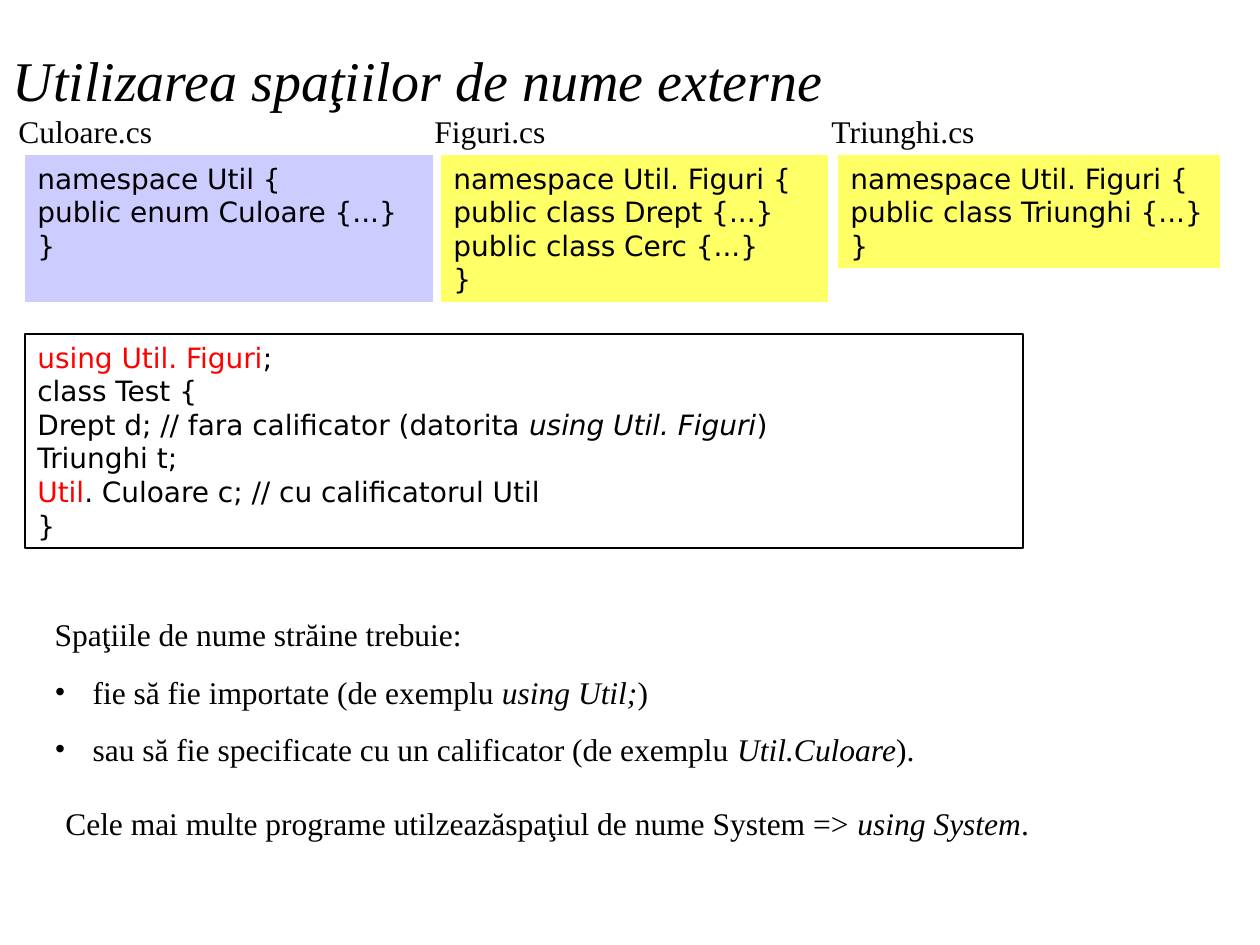
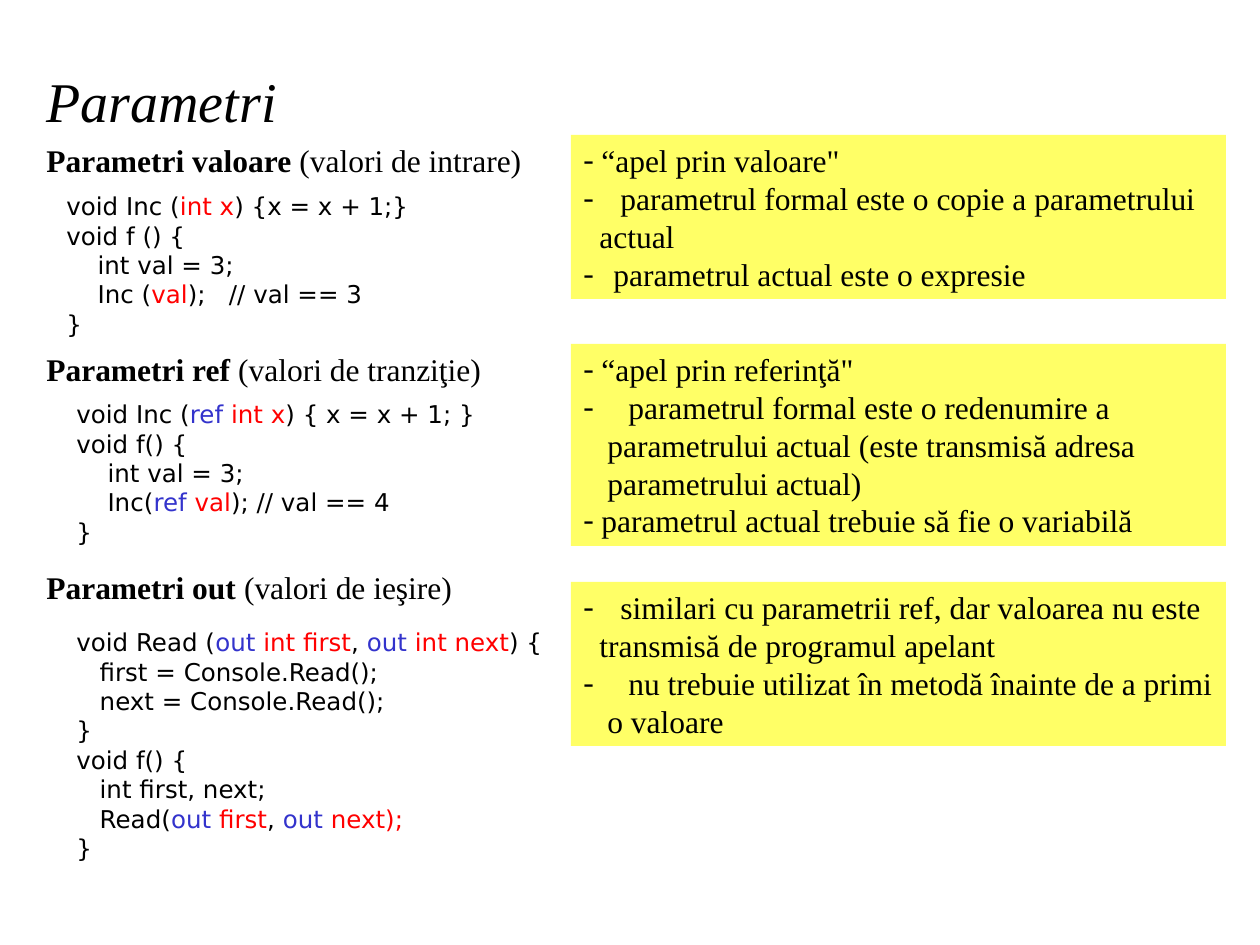
from dataclasses import dataclass

from pptx import Presentation
from pptx.dml.color import RGBColor
from pptx.enum.shapes import MSO_SHAPE
from pptx.enum.text import MSO_ANCHOR, MSO_AUTO_SIZE, PP_ALIGN
from pptx.oxml.ns import qn
from pptx.util import Pt
from lxml import etree

RECT = MSO_SHAPE.RECTANGLE
TOP, MIDDLE = MSO_ANCHOR.TOP, MSO_ANCHOR.MIDDLE
LEFT = PP_ALIGN.LEFT
NO_FIT = MSO_AUTO_SIZE.NONE

PX = 914400 / 126
SERIF, SANS = "Times New Roman", "DejaVu Sans"
COLORS = {
    "black": "000000",
    "white": "FFFFFF",
    "red": "FF0000",
    "blue": "3333CC",
    "lilac": "CCCCFF",
    "yellow": "FFFF66",
}


@dataclass
class Para:
    runs: object
    bullet: str = ""
    margin: int = 0


def px(n):
    return round(n * PX)


def rgb(name):
    return RGBColor.from_string(COLORS[name])


def set_bullet(p, bullet, margin):
    pPr = p._p.get_or_add_pPr()
    pPr.set("marL", str(px(margin)))
    pPr.set("indent", str(-px(margin) if bullet else 0))
    if bullet:
        etree.SubElement(pPr, qn("a:buFont")).set("typeface", SERIF)
        etree.SubElement(pPr, qn("a:buChar")).set("char", bullet)
    else:
        etree.SubElement(pPr, qn("a:buNone"))


def add_run(p, text, style, font, size):
    r = p.add_run()
    r.text = text
    r.font.name, r.font.size = font, Pt(size)
    r.font.bold = style == "bold"
    r.font.italic = style == "italic"
    r.font.color.rgb = rgb(style if style in COLORS else "black")


def write(tf, paras, font, size, gap=0, anchor=TOP, wrap=True):
    tf.word_wrap = wrap
    tf.auto_size = NO_FIT
    tf.vertical_anchor = anchor
    for i, para in enumerate(paras):
        if not isinstance(para, Para):
            para = Para(para)
        p = tf.paragraphs[0] if i == 0 else tf.add_paragraph()
        set_bullet(p, para.bullet, para.margin)
        p.alignment = LEFT
        p.space_before = Pt(gap if i else 0)
        runs = [(para.runs, "")] if isinstance(para.runs, str) else para.runs
        for text, style in runs:
            add_run(p, text, style, font, size)


def place(sp, box):
    sp.left, sp.top, sp.width, sp.height = map(px, box)


def add_title(s, box, text):
    sp = s.shapes.title
    place(sp, box)
    write(sp.text_frame, [[(text, "italic")]], SERIF, 32, anchor=MIDDLE)


def add_text(s, box, paras, font, size, wrap=True):
    tf = s.shapes.add_textbox(*map(px, box)).text_frame
    write(tf, paras, font, size, wrap=wrap)
    return tf


def add_panel(s, box, fill, paras, font, size, line=None):
    sp = s.shapes.add_shape(RECT, *map(px, box))
    sp.shadow.inherit = False
    sp.fill.solid()
    sp.fill.fore_color.rgb = rgb(fill)
    if line:
        sp.line.color.rgb = rgb(line)
        sp.line.width = Pt(0.75)
    else:
        sp.line.fill.background()
    write(sp.text_frame, paras, font, size)


def add_source_file(s, box, name, fill, code):
    x, y, w, h = box
    label_x = max(x - 19, 0)
    add_text(s, (label_x, y, 230, 50), [name], SERIF, 18, wrap=False)
    add_panel(s, (x, y + 49, w, h - 49), fill, code, SANS, 16)


def add_parameter_kind(s, box, kind, values, code, code_box, notes, notes_box):
    x, y, w, h = box
    heading = [[(f"Parametri {kind} ", "bold"), (f"({values})", "")]]
    tf = add_text(s, (x, y, 525, 63), heading, SERIF, 18)
    tf.margin_top = px(16)
    dx, dy, code_w, code_h = code_box
    add_text(s, (x + dx, y + dy, code_w, code_h), code, SANS, 14)
    notes_dy, notes_h = notes_box
    add_panel(s, (x + w - 655, y + notes_dy, 655, notes_h), "yellow", notes, SERIF, 18)


def build_namespaces(prs):
    s = prs.slides.add_slide(prs.slide_layouts[1])
    add_title(s, (0, 32, 1071, 94), "Utilizarea spaţiilor de nume externe")
    files = [
        (25, 408, 196, "Culoare.cs", "lilac",
         ["namespace Util {", "public enum Culoare {...}", "}"]),
        (441, 387, 196, "Figuri.cs", "yellow",
         ["namespace Util. Figuri {", "public class Drept {...}",
          "public class Cerc {...}", "}"]),
        (838, 382, 162, "Triunghi.cs", "yellow",
         ["namespace Util. Figuri {", "public class Triunghi {...}", "}"]),
    ]
    for x, w, h, name, fill, code in files:
        add_source_file(s, (x, 106, w, h), name, fill, code)

    test_code = [
        [("using Util. Figuri", "red"), (";", "")],
        "class Test {",
        [("Drept d; // fara calificator (datorita ", ""),
         ("using Util. Figuri", "italic"), (")", "")],
        "Triunghi t;",
        [("Util", "red"), (". Culoare c; // cu calificatorul Util", "")],
        "}",
    ]
    add_panel(s, (25, 334, 998, 214), "white", test_code, SANS, 16, line="black")

    rules = [
        "Spaţiile de nume străine trebuie:",
        Para([("fie să fie importate (de exemplu ", ""),
              ("using Util;", "italic"), (")", "")], "•", 38),
        Para([("sau să fie specificate cu un calificator (de exemplu ", ""),
              ("Util.Culoare", "italic"), (").", "")], "•", 38),
    ]
    body = s.placeholders[1]
    place(body, (42, 609, 1218, 166))
    write(body.text_frame, rules, SERIF, 18, gap=11.2)
    closing = [("Cele mai multe programe utilzeazăspaţiul de nume System => ", ""),
               ("using System", "italic"), (".", "")]
    add_text(s, (53, 798, 1207, 50), [closing], SERIF, 18)


def build_parameters(prs):
    s = prs.slides.add_slide(prs.slide_layouts[5])
    add_title(s, (34, 55, 1071, 90), "Parametri")

    value_code = [
        [("void Inc (", ""), ("int x", "red"), (") {x = x + 1;}", "")],
        "void f () {",
        "    int val = 3;",
        [("    Inc (", ""), ("val", "red"), (");   // val == 3", "")],
        "}",
    ]
    value_notes = [
        Para("“apel prin valoare\"", "-", 18),
        Para("parametrul formal este o copie a parametrului", "-", 37),
        Para("actual", margin=16),
        Para("parametrul actual este o expresie", "-", 30),
    ]
    ref_code = [
        [("void Inc (", ""), ("ref ", "blue"), ("int x", "red"),
         (") { x = x + 1; }", "")],
        "void f() {",
        "    int val = 3;",
        [("    Inc(", ""), ("ref ", "blue"), ("val", "red"), ("); // val == 4", "")],
        "}",
    ]
    ref_notes = [
        Para("“apel prin referinţă\"", "-", 18),
        Para("parametrul formal este o redenumire a", "-", 45),
        Para("parametrului actual (este transmisă adresa", margin=24),
        Para("parametrului actual)", margin=24),
        Para("parametrul actual trebuie să fie o variabilă", "-", 18),
    ]
    out_code = [
        [("void Read (", ""), ("out ", "blue"), ("int first", "red"), (", ", ""),
         ("out ", "blue"), ("int next", "red"), (") {", "")],
        "   first = Console.Read();",
        "   next = Console.Read();",
        "}",
        "void f() {",
        "   int first, next;",
        [("   Read(", ""), ("out ", "blue"), ("first", "red"), (", ", ""),
         ("out ", "blue"), ("next);", "red")],
        "}",
    ]
    out_notes = [
        Para("similari cu parametrii ref, dar valoarea nu este", "-", 37),
        Para("transmisă de programul apelant", margin=16),
        Para("nu trebuie utilizat în metodă înainte de a primi", "-", 45),
        Para("o valoare", margin=24),
    ]
    kinds = [
        (125, 220, "valoare", "valori de intrare", value_code, (20, 60, 496, 160),
         value_notes, (10, 164)),
        (334, 219, "ref", "valori de tranziţie", ref_code, (30, 59, 496, 160),
         ref_notes, (10, 202)),
        (552, 317, "out", "valori de ieşire", out_code, (30, 69, 515, 248),
         out_notes, (30, 164)),
    ]
    for y, h, *content in kinds:
        add_parameter_kind(s, (34, y, 1192, h), *content)


def main():
    prs = Presentation()
    prs.slide_width, prs.slide_height = px(1260), px(945)
    build_namespaces(prs)
    build_parameters(prs)
    prs.save("out.pptx")


if __name__ == "__main__":
    main()
